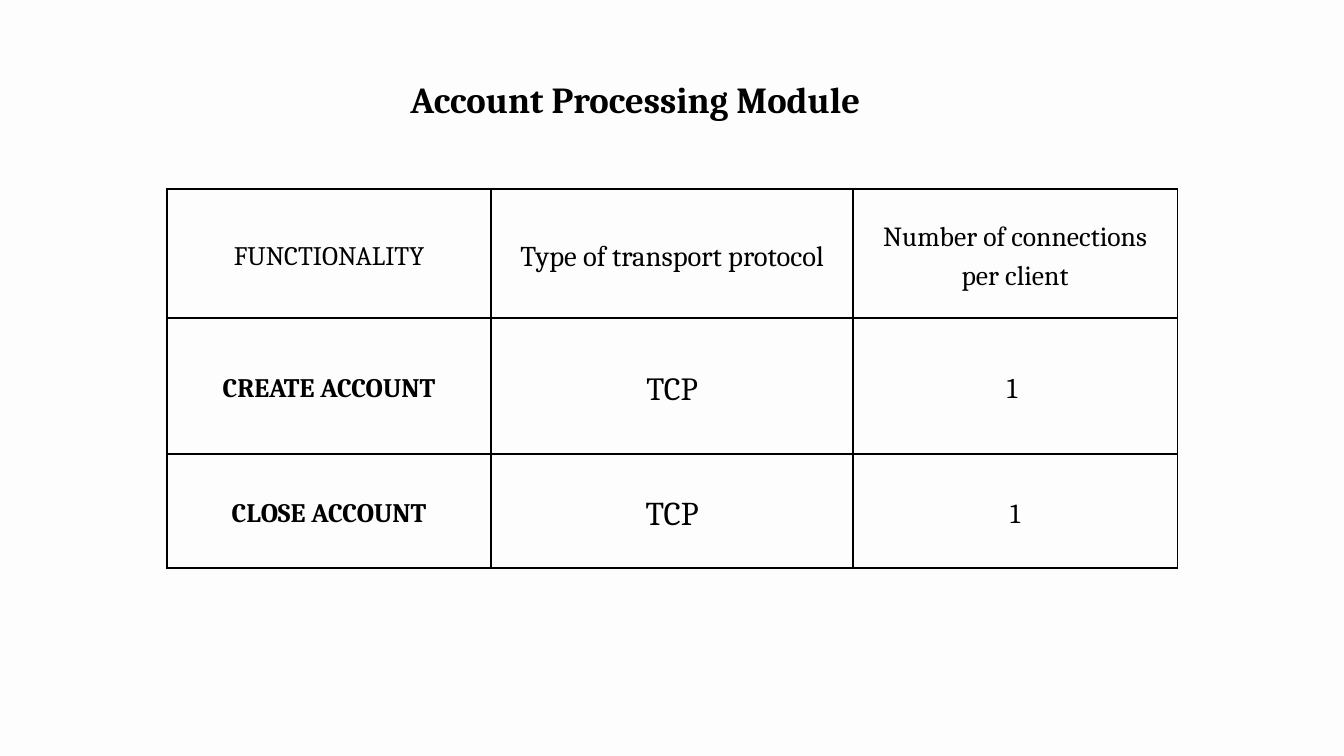
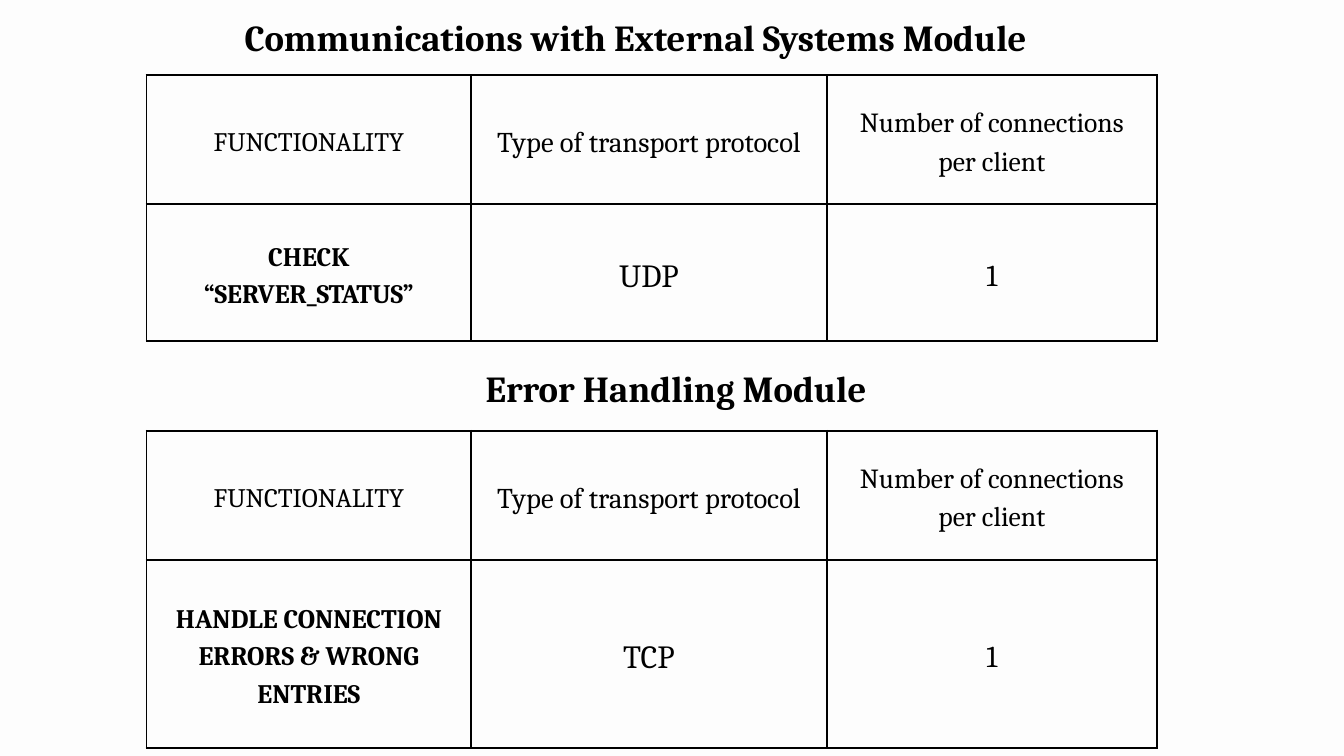
from lxml import etree
from pptx import Presentation
from pptx.dml.color import RGBColor
from pptx.enum.text import MSO_ANCHOR, PP_ALIGN
from pptx.oxml.ns import qn
from pptx.util import Pt

CENTER = PP_ALIGN.CENTER
MIDDLE = MSO_ANCHOR.MIDDLE
COLORS = {"background": "FDFDFD", "ink": "000000"}
FONT = "Cambria"
TITLE_SIZE = 39.3
LEADING = 1.4
MARGIN = 15
BORDER = 2.25
HEADER_HEIGHT = 138.2
HEADER = [
    ("FUNCTIONALITY", 28.6, False),
    ("Type of transport protocol", 30.6, False),
    ("Number of connections per client", 29.6, False),
]

SLIDES = [
    [
        {
            "title": ("Account Processing Module", 231.8, 74.2, 897.8),
            "at": (178.6, 202.3),
            "cols": [347.8, 387.4, 347.8],
            "rows": [
                (146.2, [("CREATE ACCOUNT", 28.6, True), ("TCP", 34.6, False), ("1 ", 30.6, False)]),
                (121.7, [("CLOSE ACCOUNT", 28.6, True), ("TCP", 35.6, False), ("1", 29.6, False)]),
            ],
        },
    ],
    [
        {
            "title": (" Communications with External Systems Module", 157, 7.9, 1039.7),
            "at": (157, 80.6),
            "cols": [347.8, 380.9, 354.2],
            "rows": [
                (146.9, [("CHECK “SERVER_STATUS”", 28.6, True), ("UDP", 34.6, False), ("1", 32.6, False)]),
            ],
        },
        {
            "title": (" Error Handling Module", 200.2, 383.8, 1039.7),
            "at": (157, 461.5),
            "cols": [347.8, 380.9, 354.2],
            "rows": [
                (201.6, [("HANDLE CONNECTION ERRORS & WRONG ENTRIES", 28.6, True),
                         ("TCP", 34.6, False), ("1", 32.6, False)]),
            ],
        },
    ],
]


def write(tf, text, size, bold):
    tf.word_wrap = True
    p = tf.paragraphs[0]
    p.alignment = CENTER
    p.line_spacing = Pt(round(size * LEADING, 1))
    r = p.add_run()
    r.text = text
    r.font.name = FONT
    r.font.size = Pt(size)
    r.font.bold = bold
    r.font.color.rgb = RGBColor.from_string(COLORS["ink"])


def add_borders(cell):
    tc_pr = cell._tc.get_or_add_tcPr()
    for i, side in enumerate(("lnL", "lnR", "lnT", "lnB")):
        ln = etree.Element(qn(f"a:{side}"), w=str(Pt(BORDER)))
        fill = etree.SubElement(ln, qn("a:solidFill"))
        etree.SubElement(fill, qn("a:srgbClr"), val=COLORS["ink"])
        tc_pr.insert(i, ln)


prs = Presentation()
prs.slide_width = Pt(1440)
prs.slide_height = Pt(810)

for modules in SLIDES:
    s = prs.slides.add_slide(prs.slide_layouts[6])
    s.background.fill.solid()
    s.background.fill.fore_color.rgb = RGBColor.from_string(COLORS["background"])

    for module in modules:
        rows = [(HEADER_HEIGHT, HEADER)] + module["rows"]
        cols = module["cols"]
        left, top = module["at"]
        height = sum(h for h, _ in rows)
        table = s.shapes.add_table(len(rows), len(cols), Pt(left), Pt(top),
                                   Pt(sum(cols)), Pt(height)).table
        table.first_row = False
        table.horz_banding = False
        for col, width in zip(table.columns, cols):
            col.width = Pt(width)
        for row, (row_height, entries) in zip(table.rows, rows):
            row.height = Pt(row_height)
            for cell, entry in zip(row.cells, entries):
                cell.fill.background()
                cell.vertical_anchor = MIDDLE
                cell.margin_left = cell.margin_right = Pt(MARGIN)
                cell.margin_top = cell.margin_bottom = Pt(MARGIN)
                write(cell.text_frame, *entry)
                add_borders(cell)

        title, left, top, width = module["title"]
        sp = s.shapes.add_textbox(Pt(left), Pt(top), Pt(width), Pt(53.3))
        tf = sp.text_frame
        tf.margin_left = tf.margin_right = tf.margin_top = tf.margin_bottom = 0
        write(tf, title, TITLE_SIZE, True)

prs.save("out.pptx")
